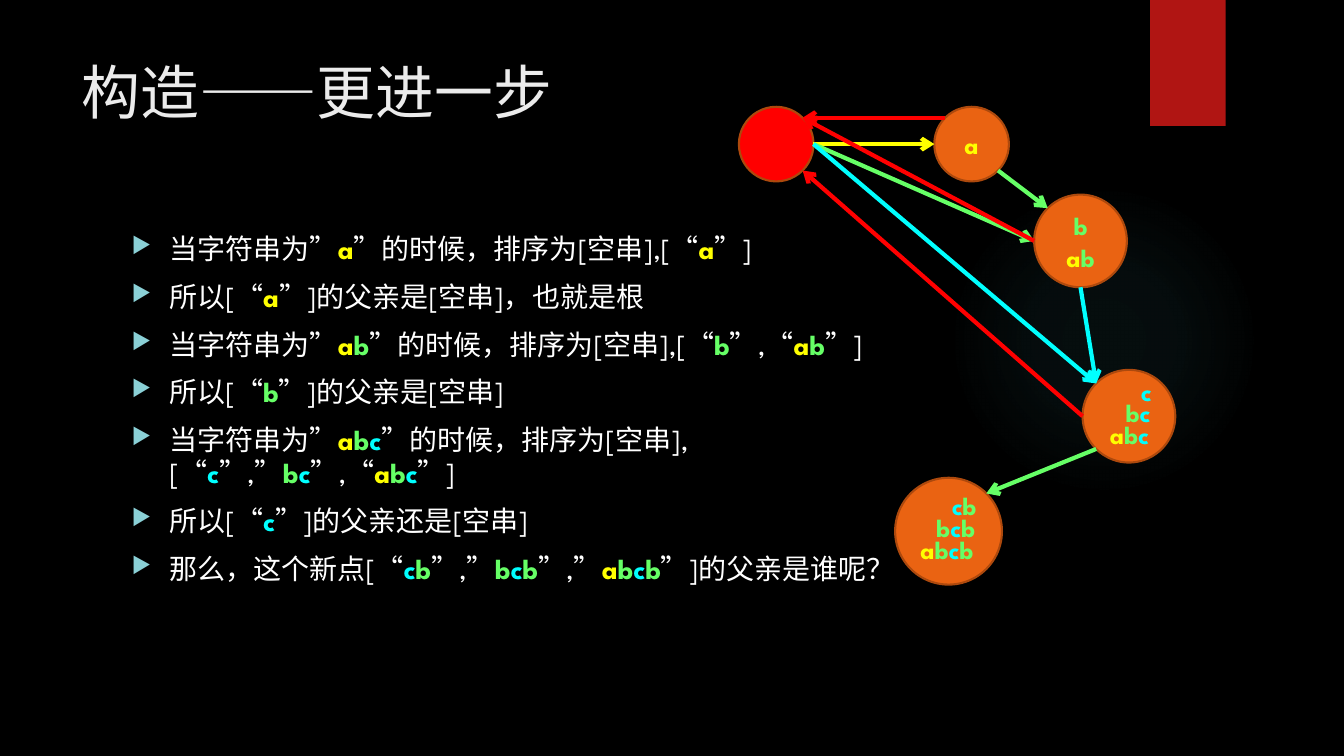
from dataclasses import dataclass
from itertools import groupby
from math import sqrt

from lxml.etree import SubElement
from pptx import Presentation
from pptx.dml.color import RGBColor
from pptx.enum.shapes import MSO_CONNECTOR, MSO_SHAPE
from pptx.enum.text import MSO_ANCHOR, MSO_AUTO_SIZE, PP_ALIGN
from pptx.oxml import parse_xml
from pptx.oxml.ns import nsdecls, qn
from pptx.util import Pt


@dataclass(frozen=True)
class Theme:
    font: str = "League Spartan"
    background: str = "000000"
    title: str = "EBEBEB"
    body: str = "FFFFFF"
    bullet: str = "8AD0D6"
    glow: str = "50B9C1"
    ribbon: str = "B01513"
    root: str = "FF0000"
    node: str = "EA6312"
    outline: str = "AD490D"
    yellow: str = "FFFF00"
    green: str = "66FF66"
    cyan: str = "00FFFF"
    red: str = "FF0000"
    title_size: int = 42
    body_size: int = 20
    label_size: int = 18


THEME = Theme()
LETTER_COLORS = {"a": THEME.yellow, "b": THEME.green, "c": THEME.cyan}

BULLETS = (
    "当字符串为”a”的时候，排序为[空串],[“a”]",
    "所以[“a”]的父亲是[空串]，也就是根",
    "当字符串为”ab”的时候，排序为[空串],[“b”,“ab”]",
    "所以[“b”]的父亲是[空串]",
    "当字符串为”abc”的时候，排序为[空串],[“c”,”bc”,“abc”]",
    "所以[“c”]的父亲还是[空串]",
    "那么，这个新点[“cb”,”bcb”,”abcb”]的父亲是谁呢？",
)

# name: (left, top, diameter), fill
NODES = {
    "root": ((527.8, 76.3, 53.3), THEME.root),
    "a": ((667.4, 76.3, 53.3), THEME.node),
    "ab": ((738.7, 139, 66.2), THEME.node),
    "abc": ((773.3, 264.2, 66.2), THEME.node),
    "abcb": ((639.4, 341.3, 76.3), THEME.node),
}

# name: (text, left, top, width) of each label, measured from the node's corner
LABELS = {
    "a": (("a", 0, 12.3, 53.3),),
    "ab": (("b", 13, 8, 40.3), ("ab", 13, 30.2, 40.3)),
    "abc": (("c", 32.4, 0.8, 26), ("bc", 19.4, 16, 40.3), ("abc", 7.9, 31.7, 51)),
    "abcb": (("cb", 30.2, 5.7, 38.2), ("bcb", 15.1, 20.9, 56.2),
             ("abcb", 2.1, 36.7, 69.8)),
}

DIAGONAL = sqrt(0.5)
RIM = {
    "right": (1, 0), "left": (-1, 0), "bottom": (0, 1),
    "top left": (-DIAGONAL, -DIAGONAL), "top right": (DIAGONAL, -DIAGONAL),
    "bottom left": (-DIAGONAL, DIAGONAL), "bottom right": (DIAGONAL, DIAGONAL),
}

ARROWS = (
    ("root", "right", "a", "left", THEME.yellow),
    ("root", "right", "ab", "left", THEME.green),
    ("a", "bottom right", "ab", "top left", THEME.green),
    ("ab", "bottom", "abc", "top left", THEME.cyan),
    ("root", "right", "abc", "top left", THEME.cyan),
    ("abc", "bottom left", "abcb", "top right", THEME.green),
    ("a", "top left", "root", "top right", THEME.red),
    ("ab", "left", "root", "top right", THEME.red),
    ("abc", "left", "root", "bottom right", THEME.red),
)


def points(*values):
    return [Pt(value) for value in values]


def write_text(paragraph, text, *, size, color=THEME.body, align=PP_ALIGN.LEFT):
    """Add text as runs; the letters a, b and c become bold in their own colour."""
    paragraph.alignment = align
    for letter_color, characters in groupby(text, key=LETTER_COLORS.get):
        run = paragraph.add_run()
        run.text = "".join(characters)
        run.font.name = THEME.font
        run.font.size = Pt(size)
        run.font.bold = letter_color is not None
        run.font.color.rgb = RGBColor.from_string(letter_color or color)


def add_text_box(slide, box):
    frame = slide.shapes.add_textbox(*points(*box)).text_frame
    frame.word_wrap = True
    return frame


def add_plain_shape(slide, kind, box, fill, outline=None):
    shape = slide.shapes.add_shape(kind, *points(*box))
    shape.shadow.inherit = False
    shape.fill.solid()
    shape.fill.fore_color.rgb = RGBColor.from_string(fill)
    if outline:
        shape.line.color.rgb = RGBColor.from_string(outline)
        shape.line.width = Pt(1.5)
    else:
        shape.line.fill.background()
    return shape


def add_backdrop(slide):
    slide.background.fill.solid()
    slide.background.fill.fore_color.rgb = RGBColor.from_string(THEME.background)
    glow = add_plain_shape(slide, MSO_SHAPE.OVAL, (677.5, 131.8, 221.8, 221.8), THEME.glow)
    stops = "".join(
        f'<a:gs pos="{position * 1000}"><a:srgbClr val="{THEME.glow}">'
        f'<a:alpha val="{opacity * 1000}"/></a:srgbClr></a:gs>'
        for position, opacity in ((0, 7), (36, 6), (69, 0)))
    gradient = parse_xml(
        f'<a:gradFill {nsdecls("a")}><a:gsLst>{stops}</a:gsLst><a:path path="circle">'
        '<a:fillToRect l="50000" t="50000" r="50000" b="50000"/></a:path></a:gradFill>')
    properties = glow.element.spPr
    properties.replace(properties.find(qn("a:solidFill")), gradient)
    add_plain_shape(slide, MSO_SHAPE.RECTANGLE, (821.5, 0, 54, 90), THEME.ribbon)


def add_title(slide, box, text):
    title = slide.shapes.title
    title.left, title.top, title.width, title.height = points(*box)
    frame = title.text_frame
    frame.vertical_anchor = MSO_ANCHOR.TOP
    frame.auto_size = MSO_AUTO_SIZE.NONE
    write_text(frame.paragraphs[0], text, size=THEME.title_size, color=THEME.title)


def add_bullets(slide, box, lines):
    frame = add_text_box(slide, box)
    for index, line in enumerate(lines):
        paragraph = frame.add_paragraph() if index else frame.paragraphs[0]
        write_text(paragraph, line, size=THEME.body_size)
        paragraph.space_before = Pt(10)
        properties = paragraph._p.get_or_add_pPr()
        properties.set("marL", str(Pt(27)))
        properties.set("indent", str(-Pt(27)))
        color = SubElement(properties, qn("a:buClr"))
        SubElement(color, qn("a:srgbClr"), val=THEME.bullet)
        SubElement(properties, qn("a:buSzPct"), val="80000")
        SubElement(properties, qn("a:buChar"), char="▶")


def rim_point(name, side):
    left, top, diameter = NODES[name][0]
    radius = diameter / 2
    across, down = RIM[side]
    return left + radius * (1 + across), top + radius * (1 + down)


def add_arrow(slide, start, end, color):
    arrow = slide.shapes.add_connector(MSO_CONNECTOR.STRAIGHT, *points(*start, *end))
    arrow.line.color.rgb = RGBColor.from_string(color)
    arrow.line.width = Pt(3)
    SubElement(arrow.line._get_or_add_ln(), qn("a:tailEnd"), type="arrow")
    SubElement(arrow.element.spPr, qn("a:effectLst"))


def add_automaton(slide):
    for name, ((left, top, diameter), fill) in NODES.items():
        add_plain_shape(slide, MSO_SHAPE.OVAL, (left, top, diameter, diameter),
                        fill, THEME.outline)
        for text, across, down, width in LABELS.get(name, ()):
            frame = add_text_box(slide, (left + across, top + down, width, 28.8))
            frame.word_wrap = False
            write_text(frame.paragraphs[0], text, size=THEME.label_size,
                       align=PP_ALIGN.CENTER)
    for source, source_side, target, target_side, color in ARROWS:
        add_arrow(slide, rim_point(source, source_side),
                  rim_point(target, target_side), color)


def main():
    presentation = Presentation()
    presentation.slide_width, presentation.slide_height = points(960, 540)
    slide = presentation.slides.add_slide(presentation.slide_layouts[5])
    add_backdrop(slide)
    add_title(slide, (51, 36, 741, 110), "构造——更进一步")
    add_bullets(slide, (87, 162, 572.5, 330.5), BULLETS)
    add_automaton(slide)
    presentation.save("out.pptx")


if __name__ == "__main__":
    main()
